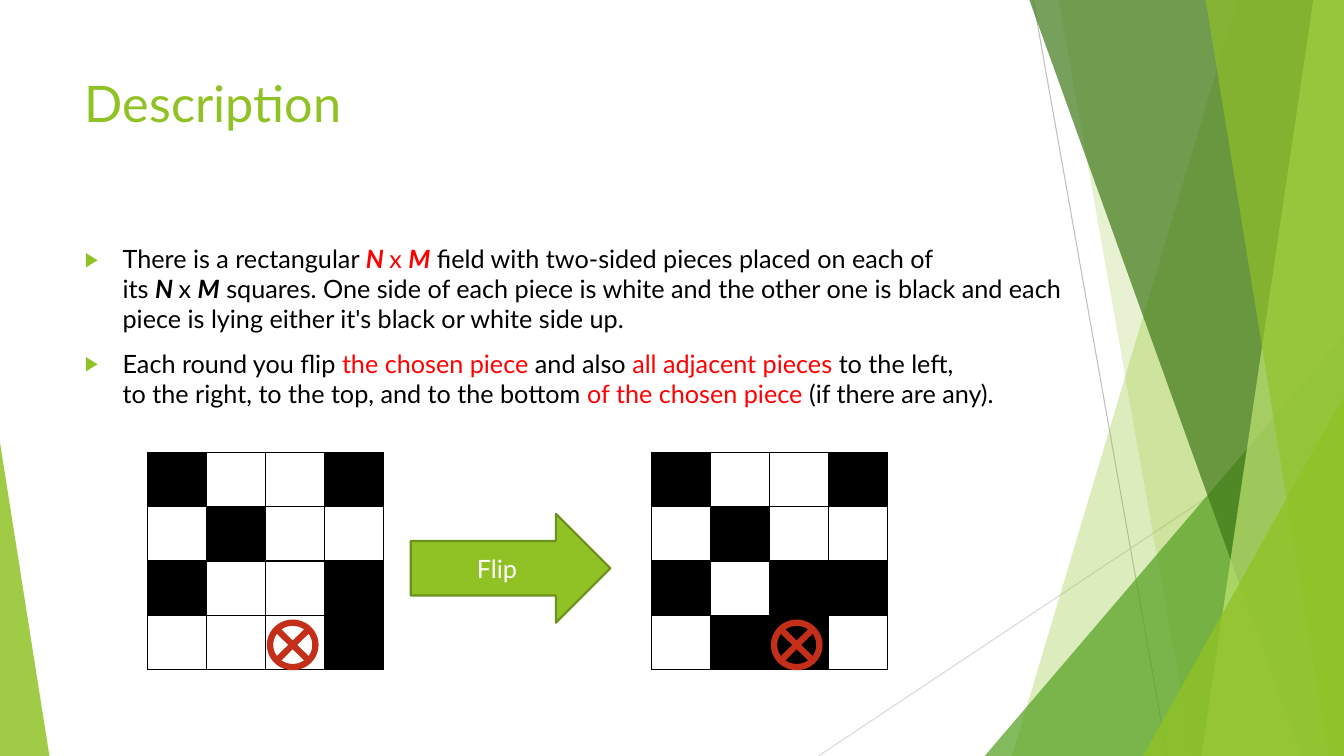
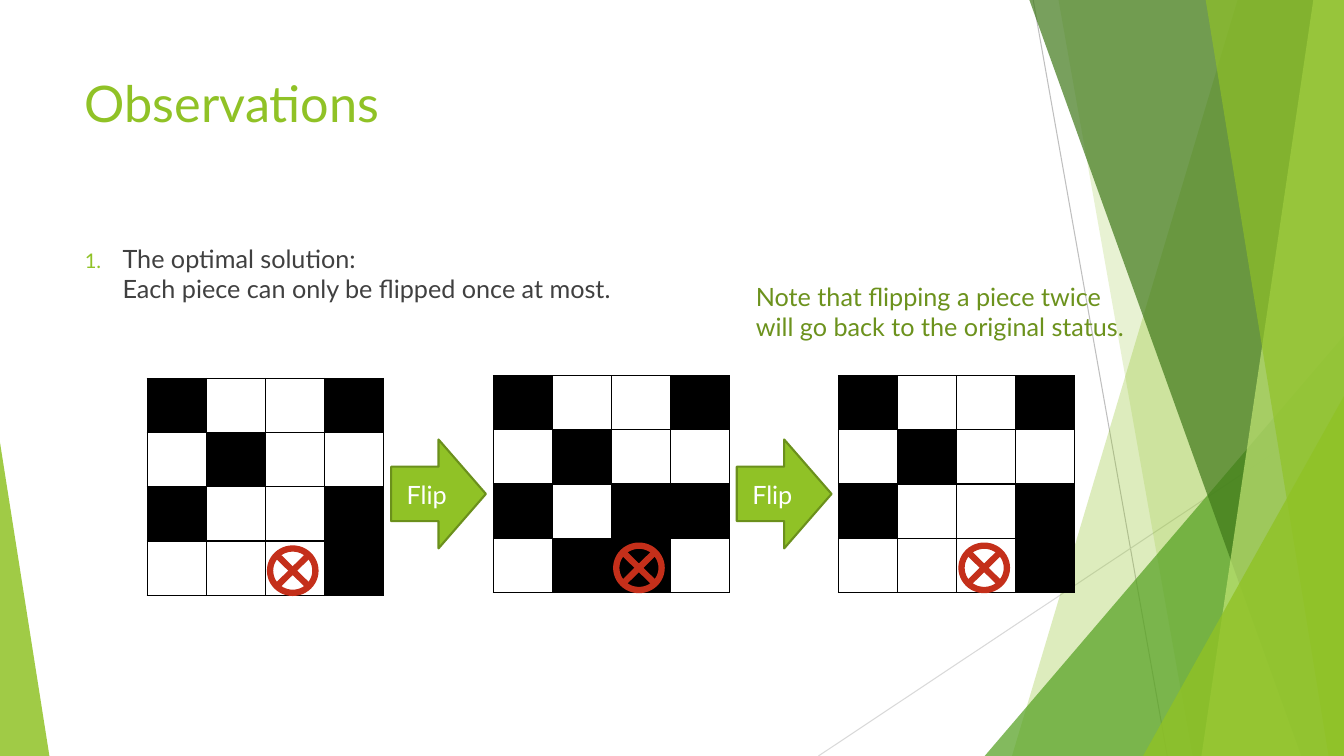
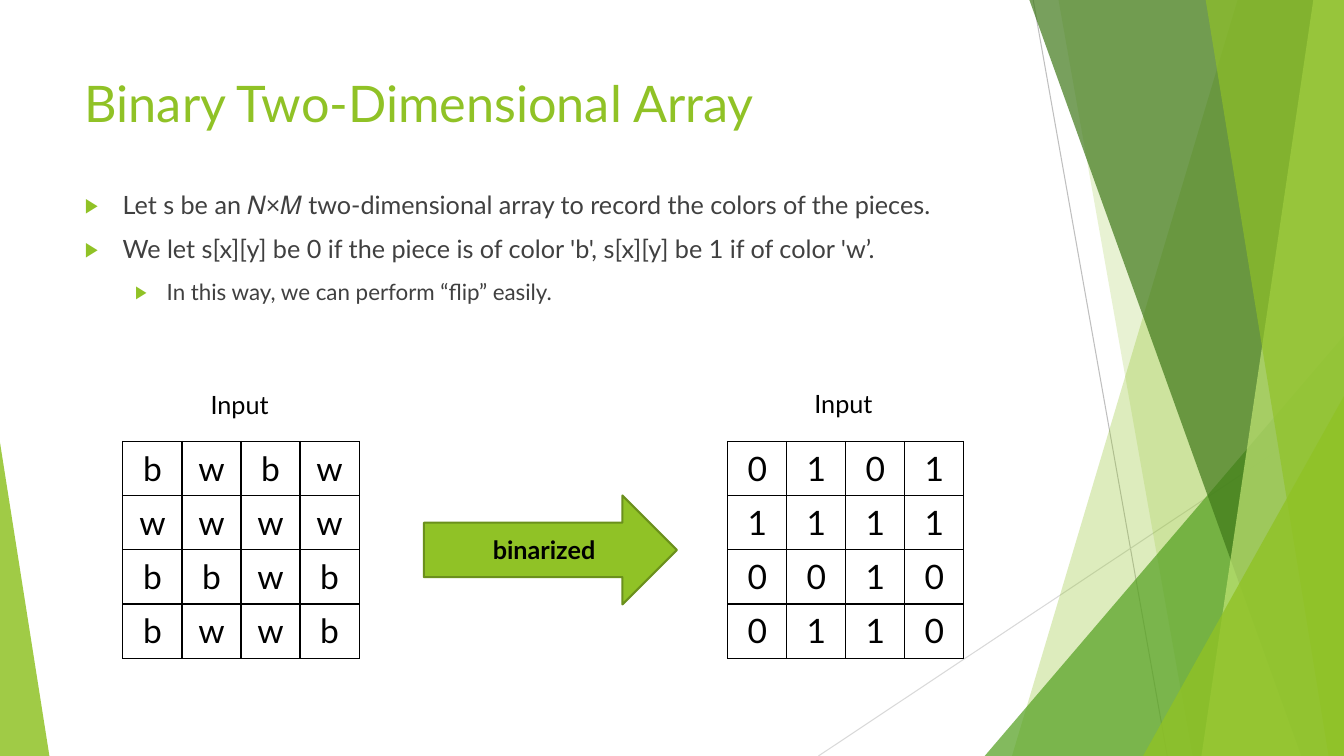
from lxml import etree
from pptx import Presentation
from pptx.dml.color import RGBColor
from pptx.enum import shapes, text
from pptx.oxml.ns import qn
from pptx.util import Pt

# Shared look
FONT = "Lato"
NO_BREAK_SPACE = chr(160)  # typed as ~ in the wording below
GREEN, DARK_GREEN, NOTE_GREEN = "90C226", "6B901C", "6C921D"
BLACK, WHITE, GREY, RED, MARK_RED = "000000", "FFFFFF", "404040", "FF0000", "C42F1A"
WIDTH, HEIGHT = 960, 540
COLUMN, ROW = 42.2, 38.7
TITLE_PLACE = (53.5, 48.2, 676.8, 103.7)
INDENTS = [(27, -27), (58.5, -22.5)]  # by level: margin, first line
BODY_SIZES = [18, 16]

GUIDES = [(738, 0, 833.8, HEIGHT, "BFBFBF"), (WIDTH, 290.2, 584.6, HEIGHT, "D9D9D9")]
# Bands: left edge at top and bottom. Triangles: left, top, width, apex.
BACKDROP = [
    ((884.2, 722.9), GREEN, 30),
    ((756, 851.8), GREEN, 20),
    ((703.4, 239.8, 256.6, 1), "54A021", 72),
    ((735.1, 929.5), "3F7819", 70),
    ((938.2, 858.2), "C0E474", 70),
    ((861.1, 949), GREEN, 65),
    ((816.5, 283, 143.5, 1), GREEN, 80),
    ((0, 316.1, 35.3, 0), GREEN, 85),
]

# Boards: b is a black piece, w a white one
BEFORE = ["bwwb", "wbww", "bwwb", "wwwb"]
AFTER = ["bwwb", "wbww", "bwbb", "wbbw"]

# Body lines: level, spans of (text, colour, style)
# Labels: left, top, width, height, spans
SLIDES = [
    {
        "title": "Description",
        "body_place": (53.5, 170.2, 713.5, 305.3),
        "bullet": "▶",
        "body": [
            (0, [
                ("There is a rectangular~", BLACK, ""),
                ("N~", RED, "bi"), ("x~", RED, ""), ("M", RED, "bi"),
                ("~field with two-sided pieces placed on each of its~", BLACK, ""),
                ("N~", BLACK, "bi"), ("x~", BLACK, ""), ("M", BLACK, "bi"),
                ("~squares. One side of each piece is white and the other one is black "
                 "and each piece is lying either it's black or white side up.", BLACK, ""),
            ]),
            (0, [
                ("Each round you flip ", BLACK, ""),
                ("the chosen piece ", RED, ""),
                ("and also ", BLACK, ""),
                ("all adjacent pieces ", RED, ""),
                ("to the left, \nto the right, to the top, and to the bottom ", BLACK, ""),
                ("of the chosen piece ", RED, ""),
                ("(if there are any).", BLACK, ""),
            ]),
        ],
        "pieces": True,
        "boards": [(105.1, 323.3, BEFORE), (465.1, 323.3, AFTER)],
        "arrows": [(293.4, 367, 142.6, "Flip")],
        "labels": [],
    },
    {
        "title": "Observations",
        "body_place": (53.5, 170.2, 676.8, 305.3),
        "bullet": "1.",
        "body": [
            (0, [("The optimal solution:\nEach piece can only be flipped once at most.", GREY, "")]),
        ],
        "pieces": True,
        "boards": [(105.1, 270.3, BEFORE), (352.4, 268.3, AFTER), (599, 268.3, BEFORE)],
        "arrows": [(279.4, 313.9, 67.7, "Flip"), (526.3, 313.9, 67.7, "Flip")],
        "labels": [
            (532.8, 197.3, 293.8, 51.1,
             [("Note that flipping a piece twice \nwill go back to the original status.",
               NOTE_GREEN, "")]),
        ],
    },
    {
        "title": "Binary Two-Dimensional Array",
        "body_place": (53.5, 131.6, 697, 143.3),
        "bullet": "▶",
        "body": [
            (0, [("Let s be an 𝑁×𝑀 two-dimensional array to record the colors of the pieces.",
                  GREY, "")]),
            (0, [("We let s[x][y] be 0 if the piece is of color 'b', s[x][y] be 1 if of color 'w’.",
                  GREY, "")]),
            (1, [("In this way, we can perform “flip” easily.", GREY, "")]),
        ],
        "pieces": False,
        "boards": [(87.8, 315.3, ["bwbw", "wwww", "bbwb", "bwwb"]),
                   (519.8, 315.3, ["0101", "1111", "0010", "0110"])],
        "arrows": [(302.8, 353.9, 180.7, "")],
        "labels": [
            (143.3, 274.3, 56.9, 28.8, [("Input", BLACK, "")]),
            (574.6, 273.6, 56.9, 28.8, [("Input", BLACK, "")]),
            (344.9, 378, 95, 28.8, [("binarized", BLACK, "b")]),
        ],
    },
]


def paint(fill, colour):
    fill.solid()
    fill.fore_color.rgb = RGBColor.from_string(colour)


def write(para, spans, size):
    for words, colour, style in spans:
        for index, line in enumerate(words.split("\n")):
            if index:
                para.add_line_break()
            span = para.add_run()
            span.text = line.replace("~", NO_BREAK_SPACE)
            span.font.name = FONT
            span.font.size = Pt(size)
            span.font.bold = "b" in style
            span.font.italic = "i" in style
            paint(span.font.fill, colour)


deck = Presentation()
deck.slide_width, deck.slide_height = Pt(WIDTH), Pt(HEIGHT)

for content in SLIDES:
    page = deck.slides.add_slide(deck.slide_layouts[6])

    # Backdrop
    for x1, y1, x2, y2, colour in GUIDES:
        guide = page.shapes.add_connector(
            shapes.MSO_CONNECTOR.STRAIGHT, Pt(x1), Pt(y1), Pt(x2), Pt(y2))
        guide.line.width = Pt(0.75)
        paint(guide.line.fill, colour)
        etree.SubElement(guide._element.spPr, qn("a:effectLst"))
    for place, colour, opacity in BACKDROP:
        if len(place) == 2:
            top_x, bottom_x = place
            outline = page.shapes.build_freeform(Pt(top_x), Pt(-0.6))
            outline.add_line_segments([(Pt(WIDTH), Pt(-0.6)), (Pt(WIDTH), Pt(HEIGHT)),
                                       (Pt(bottom_x), Pt(HEIGHT))])
            facet = outline.convert_to_shape()
        else:
            left, top, width, apex = place
            facet = page.shapes.add_shape(shapes.MSO_SHAPE.ISOSCELES_TRIANGLE, Pt(left), Pt(top),
                                          Pt(width), Pt(HEIGHT - top))
            facet.adjustments[0] = apex
        facet.shadow.inherit = False
        facet.line.fill.background()
        paint(facet.fill, colour)
        tint = facet._element.spPr.find(qn("a:solidFill"))[0]
        etree.SubElement(tint, qn("a:alpha")).set("val", str(opacity * 1000))

    # Title
    box = page.shapes.add_textbox(*map(Pt, TITLE_PLACE))
    box.text_frame.word_wrap = True
    write(box.text_frame.paragraphs[0], [(content["title"], GREEN, "")], 36)

    # Body
    box = page.shapes.add_textbox(*map(Pt, content["body_place"]))
    frame = box.text_frame
    frame.word_wrap = True
    for index, (level, spans) in enumerate(content["body"]):
        para = frame.add_paragraph() if index else frame.paragraphs[0]
        para.level = level
        para.space_before = Pt(10)
        write(para, spans, BODY_SIZES[level])
        margin, first_line = INDENTS[level]
        settings = para._p.get_or_add_pPr()
        settings.set("marL", str(Pt(margin)))
        settings.set("indent", str(Pt(first_line)))
        bullet_colour = etree.SubElement(settings, qn("a:buClr"))
        etree.SubElement(bullet_colour, qn("a:srgbClr")).set("val", GREEN)
        etree.SubElement(settings, qn("a:buSzPct")).set("val", "80000")
        etree.SubElement(settings, qn("a:buFont")).set("typeface", FONT)
        if content["bullet"] == "1.":
            etree.SubElement(settings, qn("a:buAutoNum")).set("type", "arabicPeriod")
        else:
            etree.SubElement(settings, qn("a:buChar")).set("char", content["bullet"])

    # Boards
    for left, top, rows in content["boards"]:
        board = page.shapes.add_table(len(rows), len(rows[0]), Pt(left), Pt(top),
                                      Pt(COLUMN * len(rows[0])), Pt(ROW * len(rows))).table
        board.first_row = board.horz_banding = False
        for column in board.columns:
            column.width = Pt(COLUMN)
        for y, row in enumerate(rows):
            board.rows[y].height = Pt(ROW)
            for x, symbol in enumerate(row):
                cell = board.cell(y, x)
                cell.margin_left = cell.margin_right = Pt(9.4)
                cell.margin_top = cell.margin_bottom = Pt(4.8)
                black_piece = content["pieces"] and symbol == "b"
                paint(cell.fill, BLACK if black_piece else WHITE)
                if not content["pieces"]:
                    para = cell.text_frame.paragraphs[0]
                    para.alignment = text.PP_ALIGN.CENTER
                    write(para, [(symbol, BLACK, "")], 24)
                settings = cell._tc.get_or_add_tcPr()
                for position, side in enumerate(["a:lnL", "a:lnR", "a:lnT", "a:lnB"]):
                    border = etree.Element(qn(side), w=str(Pt(1)))
                    border_fill = etree.SubElement(border, qn("a:solidFill"))
                    etree.SubElement(border_fill, qn("a:srgbClr")).set("val", BLACK)
                    settings.insert(position, border)
        if content["pieces"]:
            marker = page.shapes.add_shape(
                shapes.MSO_SHAPE.FLOWCHART_SUMMING_JUNCTION,
                Pt(left + 87.8), Pt(top + 121.5), Pt(32.4), Pt(31.7))
            marker.shadow.inherit = False
            marker.fill.background()
            marker.line.width = Pt(4.5)
            paint(marker.line.fill, MARK_RED)

    # Arrows
    for left, top, width, words in content["arrows"]:
        arrow = page.shapes.add_shape(shapes.MSO_SHAPE.RIGHT_ARROW, Pt(left), Pt(top),
                                      Pt(width), Pt(77.8))
        arrow.shadow.inherit = False
        paint(arrow.fill, GREEN)
        arrow.line.width = Pt(1.5)
        paint(arrow.line.fill, DARK_GREEN)
        if words:
            arrow.text_frame.vertical_anchor = text.MSO_ANCHOR.MIDDLE
            para = arrow.text_frame.paragraphs[0]
            para.alignment = text.PP_ALIGN.CENTER
            write(para, [(words, WHITE, "")], 18)

    # Labels
    for left, top, width, height, spans in content["labels"]:
        box = page.shapes.add_textbox(Pt(left), Pt(top), Pt(width), Pt(height))
        box.text_frame.word_wrap = False
        box.text_frame.auto_size = text.MSO_AUTO_SIZE.SHAPE_TO_FIT_TEXT
        write(box.text_frame.paragraphs[0], spans, 18)

deck.save("out.pptx")
